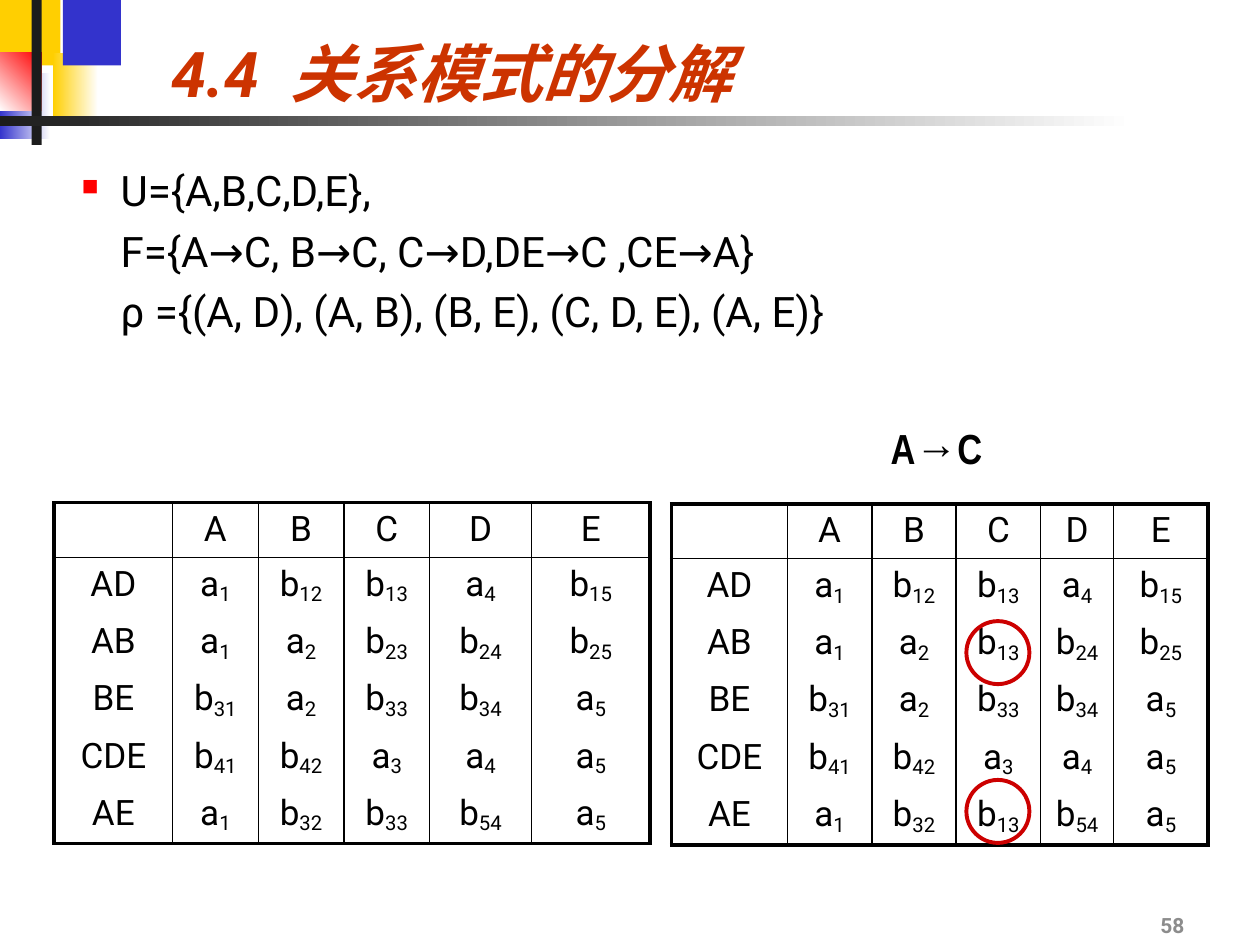
from lxml import etree
from pptx import Presentation
from pptx import util as u
from pptx.dml.color import RGBColor
from pptx.enum import shapes, text
from pptx.oxml.ns import qn

COLORS = {
    "yellow": "FFCF01", "blue": "3333CC", "red": "FF0000", "white": "FFFFFF",
    "ink": "1C1C1C", "black": "000000", "title": "CC3300", "ring": "CC0000",
    "number": "8C8C8C",
}
THICK, THIN = 2.25, 1


def rgb(name):
    return RGBColor.from_string(COLORS[name])


class SlideBuilder:
    def __init__(self, slide, font="Roboto"):
        self.shapes = slide.shapes
        self.font = font

    def box(self, *place):
        return [u.Inches(value) for value in place]

    def run(self, paragraph, words, size, color="black", font=None,
            bold=None, italic=None, baseline=None):
        run = paragraph.add_run()
        run.text = words
        run.font.name = font or self.font
        run.font.size = u.Pt(size)
        run.font.color.rgb = rgb(color)
        run.font.bold = bold
        run.font.italic = italic
        if baseline:
            run.font._element.set("baseline", str(baseline * 1000))

    def rect(self, place, color, fade_to=None, angle=0):
        block = self.shapes.add_shape(shapes.MSO_SHAPE.RECTANGLE, *self.box(*place))
        block.shadow.inherit = False
        block.line.fill.background()
        if fade_to:
            block.fill.gradient()
            block.fill.gradient_angle = angle
            for stop, name in zip(block.fill.gradient_stops, (color, fade_to)):
                stop.color.rgb = rgb(name)
        else:
            block.fill.solid()
            block.fill.fore_color.rgb = rgb(color)

    def ring(self, left, top, diameter):
        ring = self.shapes.add_shape(
            shapes.MSO_SHAPE.OVAL, *self.box(left, top, diameter, diameter))
        ring.shadow.inherit = False
        ring.fill.background()
        ring.line.color.rgb = rgb("ring")
        ring.line.width = u.Pt(THICK)

    def frame(self, place, anchor=text.MSO_ANCHOR.TOP, wrap=True):
        frame = self.shapes.add_textbox(*self.box(*place)).text_frame
        frame.word_wrap = wrap
        frame.vertical_anchor = anchor
        return frame

    def label(self, place, words, size, anchor, align=None, wrap=True, **style):
        paragraph = self.frame(place, anchor, wrap).paragraphs[0]
        paragraph.alignment = align
        self.run(paragraph, words, size, **style)

    def bullet_block(self, place, lines, size):
        frame = self.frame(place)
        for index, line in enumerate(lines):
            paragraph = frame.add_paragraph() if index else frame.paragraphs[0]
            self.run(paragraph, line, size)
            props = paragraph._p.get_or_add_pPr()
            props.set("marL", str(u.Inches(0.81)))
            props.set("indent", str(0 if index else u.Inches(-0.31)))
            if index:
                paragraph.space_before = u.Pt(5.6)
                continue
            bullet_color = etree.SubElement(props, qn("a:buClr"))
            etree.SubElement(bullet_color, qn("a:srgbClr"), val=COLORS["red"])
            etree.SubElement(props, qn("a:buSzPct"), val="55000")
            etree.SubElement(props, qn("a:buChar"), char="■")

    def borders(self, cell, widths):
        props = cell._tc.get_or_add_tcPr()
        for index, (side, width) in enumerate(zip("LRTB", widths)):
            edge = etree.Element(qn(f"a:ln{side}"), w=str(u.Pt(width)))
            if width:
                fill = etree.SubElement(edge, qn("a:solidFill"))
                etree.SubElement(fill, qn("a:srgbClr"), val=COLORS["black"])
            else:
                etree.SubElement(edge, qn("a:noFill"))
            props.insert(index, edge)

    def tableau(self, left, top, columns, header_height, row_height, rows):
        last_row, last_column = len(rows) - 1, len(columns) - 1
        heights = [header_height] + [row_height] * last_row
        table = self.shapes.add_table(
            len(rows), len(columns),
            *self.box(left, top, sum(columns), sum(heights))).table
        table.first_row = table.horz_banding = False
        for column, width in zip(table.columns, columns):
            column.width = u.Inches(width)
        for r, (row, height) in enumerate(zip(rows, heights)):
            table.rows[r].height = u.Inches(height)
            for c, entry in enumerate(row):
                cell = table.cell(r, c)
                cell.fill.background()
                self.borders(cell, (
                    THIN if c else THICK,
                    THICK if c == last_column else THIN,
                    {0: THICK, 1: THIN}.get(r, 0),
                    {0: THIN, last_row: THICK}.get(r, 0)))
                paragraph = cell.text_frame.paragraphs[0]
                paragraph.alignment = text.PP_ALIGN.CENTER
                symbol = entry.rstrip("0123456789")
                subscript = entry[len(symbol):]
                if symbol:
                    self.run(paragraph, symbol, 20)
                if subscript:
                    self.run(paragraph, subscript, 20, baseline=-16)


def rows_with(ab_c, ae_c):
    return [
        ["", "A", "B", "C", "D", "E"],
        ["AD", "a1", "b12", "b13", "a4", "b15"],
        ["AB", "a1", "a2", ab_c, "b24", "b25"],
        ["BE", "b31", "a2", "b33", "b34", "a5"],
        ["CDE", "b41", "b42", "a3", "a4", "a5"],
        ["AE", "a1", "b32", ae_c, "b54", "a5"],
    ]


def main():
    deck = Presentation()
    deck.slide_width, deck.slide_height = u.Inches(10), u.Inches(7.5)
    page = SlideBuilder(deck.slides.add_slide(deck.slide_layouts[6]))

    page.rect((0, 0, 0.48, 0.52), "yellow")
    page.rect((0.42, 0.42, 0.36, 0.52), "yellow", "white")
    page.rect((0.5, 0, 0.46, 0.52), "blue")
    page.rect((0, 0.58, 0.4, 0.52), "blue", "white")
    page.rect((0, 0.42, 0.33, 0.46), "white", "red", angle=45)
    page.rect((0.25, 0, 0.08, 1.15), "ink")
    page.rect((0, 0.92, 9, 0.08), "ink", "white")

    page.bullet_block((0.05, 1.26, 9.78, 1.9), [
        "U={A,B,C,D,E},",
        "F={A→C, B→C, C→D,DE→C ,CE→A}",
        "ρ ={(A, D), (A, B), (B, E), (C, D, E), (A, E)}",
    ], 24)

    page.tableau(0.43, 3.99, [0.94, 0.68, 0.68, 0.68, 0.81, 0.94],
                 0.43, 0.44, rows_with("b23", "b33"))
    page.label((6.97, 3.27, 1.03, 0.57), "A→C", 24, text.MSO_ANCHOR.MIDDLE,
               wrap=False, font="Arial Narrow", bold=True)
    page.tableau(5.33, 4, [0.92, 0.67, 0.67, 0.67, 0.58, 0.75],
                 0.43, 0.45, rows_with("b13", "b13"))
    for top in (4.93, 6.19):
        page.ring(7.67, top, 0.5)

    page.label((1.26, 0, 6.82, 0.92), "4.4  关系模式的分解", 36,
               text.MSO_ANCHOR.BOTTOM, color="title", bold=True, italic=True)
    page.label((7.17, 7.14, 2.33, 0.4), "58", 12, text.MSO_ANCHOR.MIDDLE,
               align=text.PP_ALIGN.RIGHT, color="number", bold=True)
    deck.save("out.pptx")


if __name__ == "__main__":
    main()
